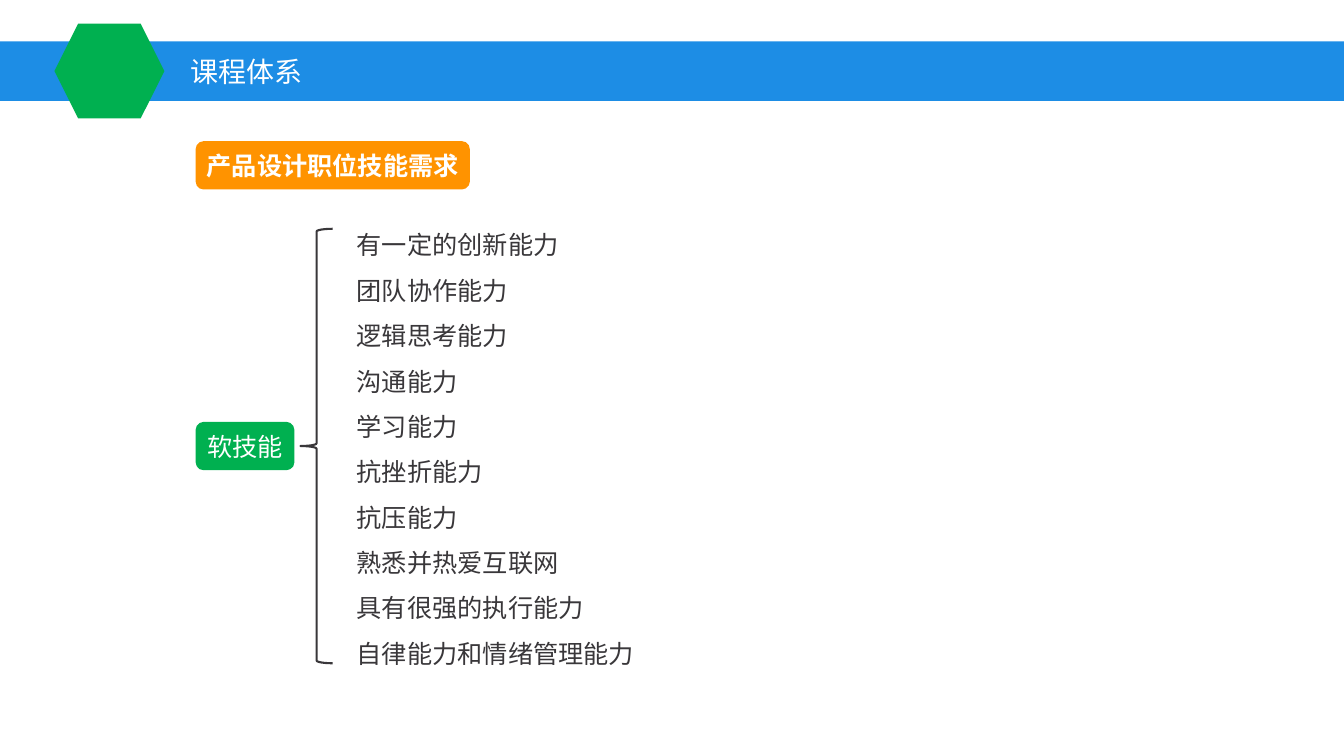
from lxml import etree
from pptx import Presentation
from pptx.dml.color import RGBColor
from pptx.enum.shapes import MSO_SHAPE
from pptx.enum.text import MSO_ANCHOR, MSO_AUTO_SIZE, PP_ALIGN
from pptx.oxml.ns import qn
from pptx.util import Inches, Pt

RECTANGLE, HEXAGON = MSO_SHAPE.RECTANGLE, MSO_SHAPE.HEXAGON
ROUNDED, BRACE = MSO_SHAPE.ROUNDED_RECTANGLE, MSO_SHAPE.LEFT_BRACE
MIDDLE, TOP = MSO_ANCHOR.MIDDLE, MSO_ANCHOR.TOP
CENTER, LEFT = PP_ALIGN.CENTER, PP_ALIGN.LEFT
GROW = MSO_AUTO_SIZE.SHAPE_TO_FIT_TEXT

BLUE = RGBColor(0x1D, 0x8D, 0xE5)
GREEN = RGBColor(0x00, 0xB0, 0x50)
ORANGE = RGBColor(0xFF, 0x93, 0x00)
WHITE = RGBColor(0xFF, 0xFF, 0xFF)
INK = RGBColor(0x39, 0x37, 0x3A)

FONT = "Noto Sans CJK SC"
SLIDE_W, SLIDE_H = 13.33, 7.5
MARGIN = 1.94
BADGE_H = 0.48

SOFT_SKILLS = [
    "有一定的创新能力",
    "团队协作能力",
    "逻辑思考能力",
    "沟通能力",
    "学习能力",
    "抗挫折能力",
    "抗压能力",
    "熟悉并热爱互联网",
    "具有很强的执行能力",
    "自律能力和情绪管理能力",
]


def inches(box):
    return [Inches(length) for length in box]


def add_block(slide, preset, box, fill):
    """Add a flat preset shape without an outline."""
    block = slide.shapes.add_shape(preset, *inches(box))
    block.shadow.inherit = False
    block.fill.solid()
    block.fill.fore_color.rgb = fill
    block.line.fill.background()
    return block


def write(frame, lines, size, color, align=LEFT, bold=False, spacing=1.0):
    """Fill a text frame with one paragraph per line, in Latin and CJK font."""
    frame.word_wrap = True
    frame.text = "\n".join(lines)
    for paragraph in frame.paragraphs:
        paragraph.alignment = align
        paragraph.line_spacing = spacing
        font = paragraph.font
        font.size, font.bold, font.name = Pt(size), bold, FONT
        font.color.rgb = color
        defaults = paragraph._p.pPr.find(qn("a:defRPr"))
        etree.SubElement(defaults, qn("a:ea"), typeface=FONT)


def add_text(slide, box, lines, size, color, anchor=TOP, spacing=1.0):
    frame = slide.shapes.add_textbox(*inches(box)).text_frame
    write(frame, lines, size, color, spacing=spacing)
    frame.vertical_anchor = anchor
    frame.auto_size = GROW


def add_badge(slide, box, label, fill, bold=False):
    frame = add_block(slide, ROUNDED, box, fill).text_frame
    write(frame, [label], 18, WHITE, CENTER, bold)
    frame.vertical_anchor = MIDDLE
    frame.margin_left = frame.margin_right = 0
    frame.margin_top = frame.margin_bottom = 0


def add_header(slide, box, title):
    """Draw the title band with a hexagon that overhangs it evenly."""
    left, top, width, height = box
    middle = top + height / 2
    hexagon_w, hexagon_h, title_h = 1.09, 0.94, 0.44
    add_block(slide, RECTANGLE, box, BLUE)
    add_block(slide, HEXAGON,
              (left + 0.54, middle - hexagon_h / 2, hexagon_w, hexagon_h), GREEN)
    add_text(slide, (left + 1.79, middle - title_h / 2, 5.59, title_h),
             [title], 20, WHITE, MIDDLE)


def add_skill_tree(slide, box, label, skills):
    """Draw a badge, a brace and the skill list; the box is that of the brace."""
    left, top, width, height = box
    middle = top + height / 2
    badge_w, brace_left, list_left = 0.98, left + 1.04, left + 1.5
    add_badge(slide, (left, middle - BADGE_H / 2, badge_w, BADGE_H), label, GREEN)
    add_text(slide, (list_left, top - 0.19, left + width - list_left, 4.59),
             skills, 18, INK, spacing=1.5)
    brace = slide.shapes.add_shape(BRACE, *inches((brace_left, top, 0.32, height)))
    brace.shadow.inherit = False
    brace.fill.background()
    brace.line.color.rgb = INK
    brace.line.width = Pt(1.5)


def main():
    deck = Presentation()
    deck.slide_width, deck.slide_height = Inches(SLIDE_W), Inches(SLIDE_H)
    slide = deck.slides.add_slide(deck.slide_layouts[6])
    add_header(slide, (0, 0.41, SLIDE_W, 0.59), "课程体系")
    add_badge(slide, (MARGIN, 1.4, 2.72, BADGE_H), "产品设计职位技能需求",
              ORANGE, bold=True)
    add_skill_tree(slide, (MARGIN, 2.27, 5.05, 4.31), "软技能", SOFT_SKILLS)
    deck.save("out.pptx")


if __name__ == "__main__":
    main()
